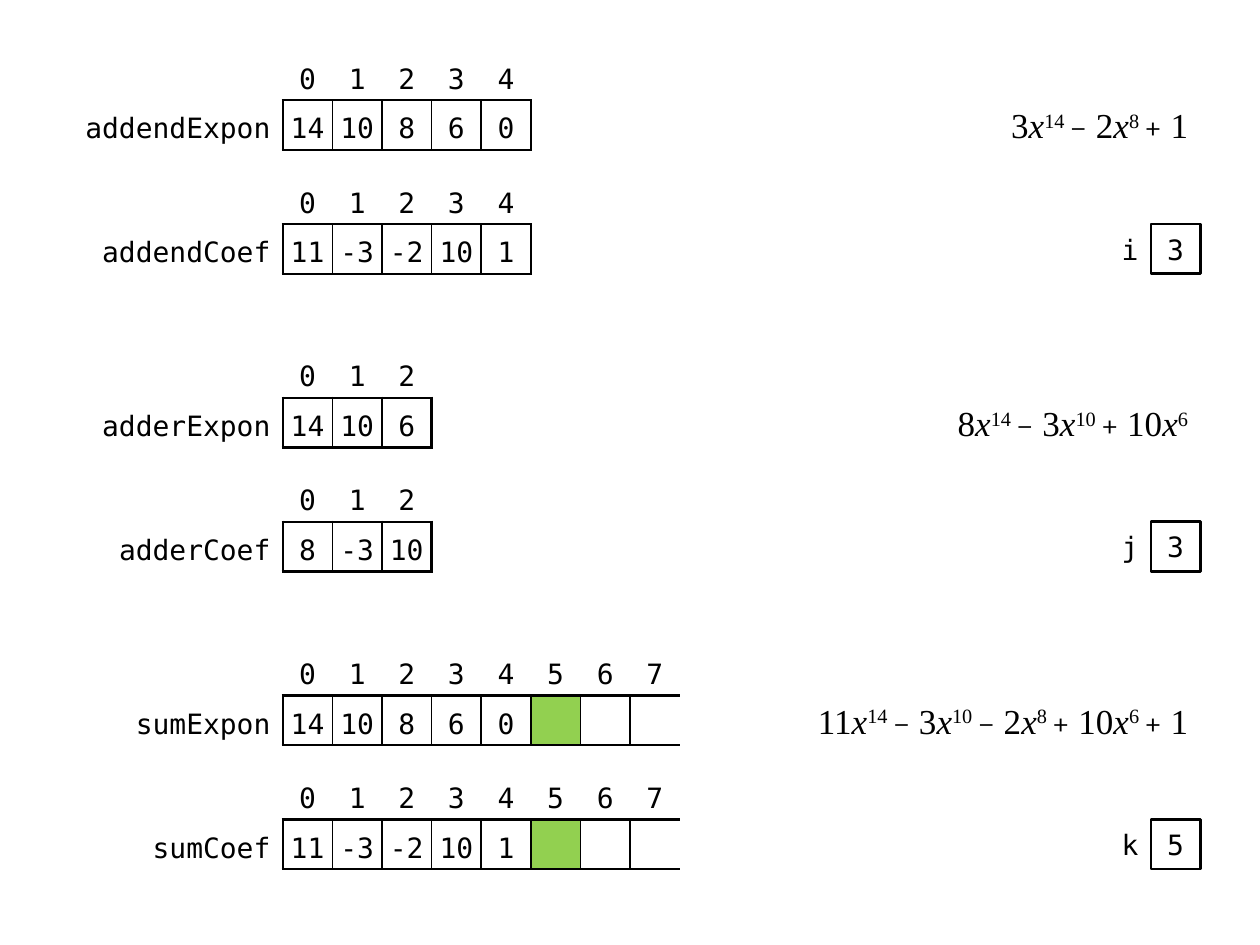
from lxml.etree import SubElement as Sub
from pptx import Presentation as Deck
from pptx.dml.color import RGBColor as Rgb
from pptx.enum.shapes import MSO_SHAPE as Kind
from pptx.enum.text import MSO_ANCHOR as Anchor, PP_ALIGN as Align
from pptx.oxml.ns import qn
from pptx.util import Cm, Pt

MONO = "DejaVu Sans Mono"
SERIF = "Times New Roman"
BLACK = "000000"
NO_STYLE = "{2D5ABB26-0587-4C30-8999-92F81FD0307C}"
CELL = 1
START = 5.7
RIGHT = 24.2


def color(code):
    return Rgb.from_string(code)


def write(para, text, font=MONO, size=16, italic=False, base=0):
    run = para.add_run()
    run.text = text
    run.font.name = font
    run.font.size = Pt(size)
    run.font.italic = italic
    run.font.color.rgb = color(BLACK)
    if base:
        run.font._element.set("baseline", str(base * 1000))


def border(cell, **sides):
    props = cell._tc.get_or_add_tcPr()
    for side in "LRTB":
        width = sides.get(side, 0)
        line = Sub(props, qn(f"a:ln{side}"), w=str(Pt(width)))
        if width:
            fill = Sub(line, qn("a:solidFill"))
            Sub(fill, qn("a:srgbClr"), val=BLACK)
        else:
            Sub(line, qn("a:noFill"))


def fill_cell(cell, text, sides, align=Align.CENTER, shade=None, pads=(0, 0)):
    border(cell, **sides)
    cell.fill.background()
    if shade:
        cell.fill.solid()
        cell.fill.fore_color.rgb = color(shade)
    cell.vertical_anchor = Anchor.MIDDLE
    cell.margin_left, cell.margin_right = map(Cm, pads)
    cell.margin_top = cell.margin_bottom = 0
    para = cell.text_frame.paragraphs[0]
    para.alignment = align
    para.line_spacing = 1.25
    if text:
        write(para, text)


def add_array(slide, top, name, width, values, free):
    count = len(values) + free
    frame = slide.shapes.add_table(
        2, count + 1, Cm(START - width), Cm(top),
        Cm(width + count * CELL), Cm(2 * CELL))
    table = frame.table
    table.first_row = table.horz_banding = False
    table._tbl.tblPr.find(qn("a:tableStyleId")).text = NO_STYLE
    for row in table.rows:
        row.height = Cm(CELL)
    for col in table.columns:
        col.width = Cm(CELL)
    table.columns[0].width = Cm(width)
    fill_cell(table.cell(0, 0), "", {})
    fill_cell(table.cell(1, 0), name, {"R": 1.5}, Align.RIGHT, pads=(0.1, 0.25))
    for at in range(count):
        last = at == count - 1
        end = (0 if free else 1.5) if last else 1
        sides = {"L": 1 if at else 1.5, "R": end, "T": 1.5, "B": 1.5}
        text = values[at] if at < len(values) else ""
        shade = "92D050" if at == len(values) else None
        fill_cell(table.cell(0, at + 1), str(at), {"B": 1.5})
        fill_cell(table.cell(1, at + 1), text, sides, shade=shade)


def add_text(slide, left, top, width):
    frame = slide.shapes.add_textbox(
        Cm(left), Cm(top), Cm(width), Cm(CELL)).text_frame
    frame.word_wrap = True
    frame.vertical_anchor = Anchor.MIDDLE
    frame.margin_left = frame.margin_right = Cm(0.25)
    frame.margin_top = frame.margin_bottom = 0
    para = frame.paragraphs[0]
    para.alignment = Align.RIGHT
    return para


def add_formula(slide, top, width, formula):
    para = add_text(slide, RIGHT - width, top, width)
    parts = formula.split()
    for at, part in enumerate(parts):
        if part in "+−":
            write(para, part, font="Cambria", size=18)
            continue
        factor, _, power = part.partition("x^")
        write(para, (" " if at else "") + factor, font=SERIF, size=20)
        if power:
            gap = " " if at < len(parts) - 1 else ""
            write(para, "x", font=SERIF, size=20, italic=True)
            write(para, power + gap, font=SERIF, size=20, base=30)


def add_index(slide, top, name, value):
    left = RIGHT - CELL
    write(add_text(slide, left - CELL, top, CELL), name)
    box = slide.shapes.add_shape(
        Kind.RECTANGLE, Cm(left), Cm(top), Cm(CELL), Cm(CELL))
    box.shadow.inherit = False
    box.fill.solid()
    box.fill.fore_color.rgb = color("FFFFFF")
    box.line.color.rgb = color(BLACK)
    box.line.width = Pt(1.5)
    frame = box.text_frame
    frame.vertical_anchor = Anchor.MIDDLE
    frame.margin_left = frame.margin_right = 0
    para = frame.paragraphs[0]
    para.alignment = Align.CENTER
    write(para, value)


def add_group(slide, top, arrays, free, formula, index):
    for at, (name, width, values) in enumerate(arrays):
        add_array(slide, top + at * 2.5, name, width, values.split(), free)
    add_formula(slide, top + CELL, *formula)
    add_index(slide, top + 3.5, *index)


GROUPS = [
    ([("addendExpon", 4.5, "14 10 8 6 0"), ("addendCoef", 4, "11 -3 -2 10 1")],
     0, (5, "3x^14 − 2x^8 + 1"), ("i", "3")),
    ([("adderExpon", 4, "14 10 6"), ("adderCoef", 3.5, "8 -3 10")],
     0, (6, "8x^14 − 3x^10 + 10x^6"), ("j", "3")),
    ([("sumExpon", 3.5, "14 10 8 6 0"), ("sumCoef", 3, "11 -3 -2 10 1")],
     3, (9, "11x^14 − 3x^10 − 2x^8 + 10x^6 + 1"), ("k", "5")),
]


def main():
    deck = Deck()
    deck.slide_width, deck.slide_height = Cm(25.4), Cm(19.05)
    slide = deck.slides.add_slide(deck.slide_layouts[6])
    for at, group in enumerate(GROUPS):
        add_group(slide, 1.02 + at * 6, *group)
    deck.save("out.pptx")


if __name__ == "__main__":
    main()
